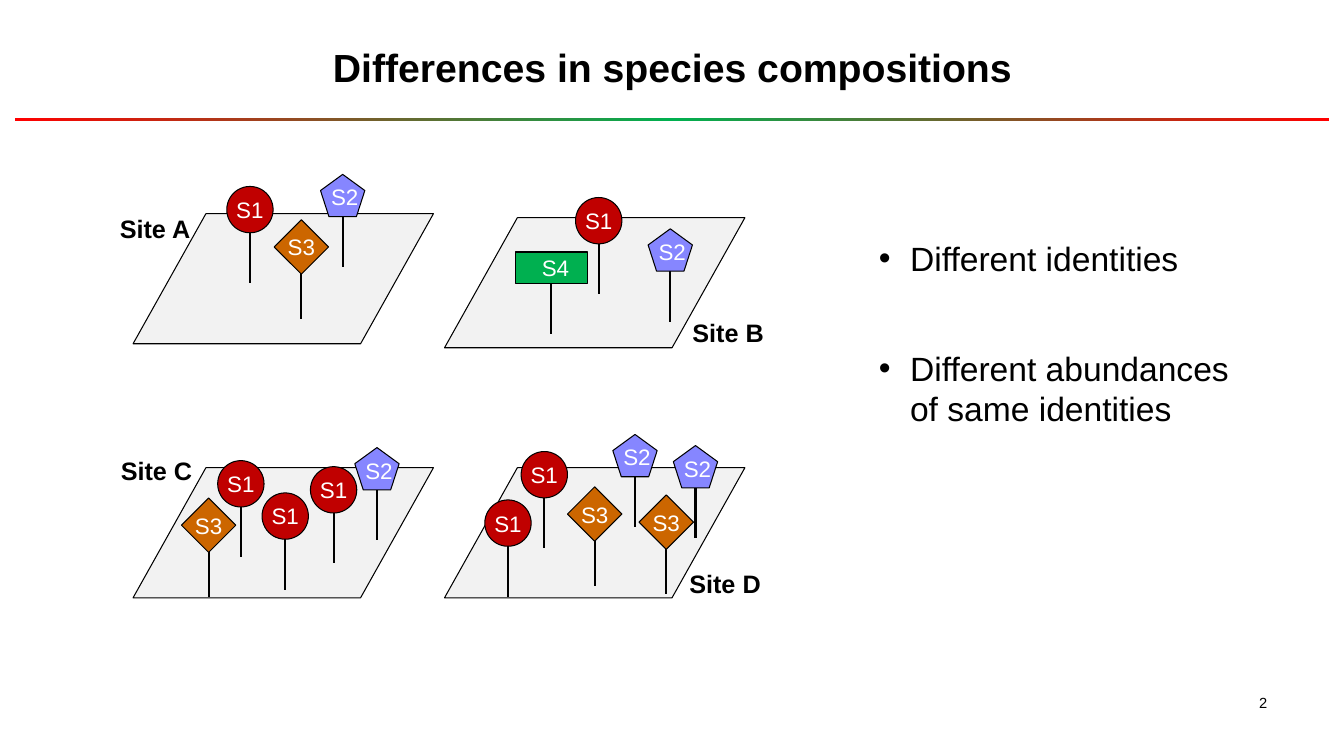
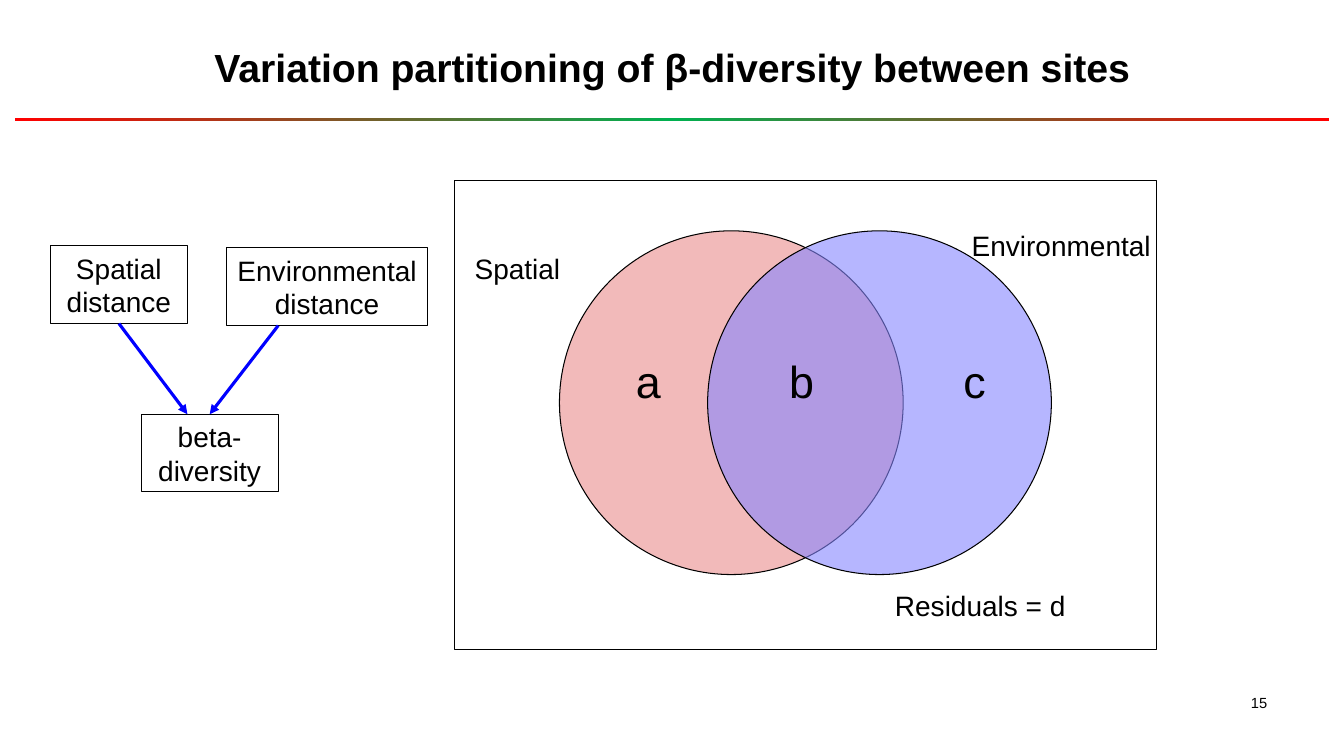
"""Build two slides on species composition and variation partitioning."""
from copy import deepcopy

from pptx import Presentation
from pptx import util as u
from pptx.dml.color import RGBColor
from pptx.enum import shapes, text
from pptx.oxml import ns
from lxml import etree

COLORS = {
    "black": "000000", "white": "FFFFFF", "plot": "F2F2F2",
    "red": "C00000", "violet": "8686FF", "orange": "CC6600", "green": "00B050",
    "pink": "EA8C8C", "arrow": "0000FF", "band": "FF0000",
}
RGB = {name: RGBColor.from_string(value) for name, value in COLORS.items()}
KIND = shapes.MSO_SHAPE
ALIGN = text.PP_ALIGN
MIDDLE = text.MSO_ANCHOR.MIDDLE
CELL = u.Inches(0.1)
COLS, ROWS = 133.33, 75


def box(s, at, words="", kind=None, fill=None, size=20, color="black",
        bold=False, align=ALIGN.LEFT, **frame):
    """Place a text box, or a preset shape if a kind is given, on the grid."""
    place = [int(n * CELL) for n in at]
    if kind is None:
        sp = s.shapes.add_textbox(*place)
    else:
        sp = s.shapes.add_shape(kind, *place)
        sp.shadow.inherit = False
        sp.line.color.rgb = RGB["black"]
        sp.line.width = u.Pt(0.75)
        if fill:
            sp.fill.solid()
            sp.fill.fore_color.rgb = RGB[fill]
        else:
            sp.fill.background()
    tf = sp.text_frame
    for key, value in {"word_wrap": True, **frame}.items():
        setattr(tf, key, value)
    if words:
        tf.text = words
    font = {"name": "Arial", "size": u.Pt(size), "bold": bold}
    for p in tf.paragraphs:
        p.alignment = align
        for r in p.runs:
            r.font.color.rgb = RGB[color]
            for key, value in font.items():
                setattr(r.font, key, value)
    return sp


def line(s, start, end, width=1.5, color="black"):
    """Draw a straight connector between two grid points."""
    ends = [int(n * CELL) for n in (*start, *end)]
    cn = s.shapes.add_connector(shapes.MSO_CONNECTOR.STRAIGHT, *ends)
    cn.line.color.rgb = RGB[color]
    cn.line.width = u.Pt(width)
    etree.SubElement(cn._element.spPr, ns.qn("a:effectLst"))
    return cn


prs = Presentation()
prs.slide_width, prs.slide_height = int(COLS * CELL), ROWS * CELL

TITLES = [
    ("Differences in species compositions", "2"),
    ("Variation partitioning of β-diversity between sites", "15"),
]
for title, number in TITLES:
    s = prs.slides.add_slide(prs.slide_layouts[6])
    band = box(s, (1.5, 11.7, COLS - 3, 0.3), kind=KIND.RECTANGLE)
    band.line.fill.background()
    band.fill.gradient()
    band.fill.gradient_angle = 0
    stops = band._element.spPr.find(".//" + ns.qn("a:gsLst"))
    stops.insert(1, deepcopy(stops[0]))
    for i, (stop, name) in enumerate(zip(band.fill.gradient_stops, ("band", "green", "band"))):
        stop.position = i / 2
        stop.color.rgb = RGB[name]
    box(s, (6.7, 1.3, 120, 10.7), title, size=28, bold=True,
        align=ALIGN.CENTER, vertical_anchor=MIDDLE)
    box(s, (95.6, 68.3, 31.1, 5.2), number, size=10.5, align=ALIGN.RIGHT)

compositions, partitioning = prs.slides

SPECIES = {
    "S1": (KIND.OVAL, "red", 4.6, 4.6, 0, 0, 0),
    "S2": (KIND.REGULAR_PENTAGON, "violet", 4.4, 4.2, 0.4, 0.7, 0),
    "S3": (KIND.DIAMOND, "orange", 5.4, 5.4, 0, 0, 0.6),
    "S4": (KIND.RECTANGLE, "green", 7.1, 3.1, 0.8, 0, 0),
}
SITES = [
    ("Site A", 13.2, 21.2, (-2.3, -0.5),
     [("S1", 11.6, -2.7), ("S2", 20.8, -3.9), ("S3", 16.7, 0.6)]),
    ("Site B", 44.1, 21.6, (23.6, 9.4),
     [("S4", 10.6, 3.4), ("S1", 15.3, -2), ("S2", 22.4, 1.1)]),
    ("Site C", 13.2, 46.4, (-2.2, -1.7),
     [("S1", 10.7, -0.7), ("S3", 7.5, 3), ("S2", 24.2, -2),
      ("S1", 15.1, 2.5), ("S1", 19.9, -0.1)]),
    ("Site D", 44.1, 46.4, (23.3, 9.5),
     [("S1", 9.9, -1.6), ("S2", 18.9, -3.3), ("S3", 14.9, 1.9),
      ("S1", 6.3, 3.2), ("S2", 24.9, -2.2), ("S3", 22, 2.7)]),
]
s = compositions
for site, left, top, (dx, dy), plants in SITES:
    plot = box(s, (left, top, 29.8, 12.9), kind=KIND.PARALLELOGRAM, fill="plot")
    plot.adjustments[0] = 0.56
    for name, x, y in plants:
        kind, fill, w, h, pad_left, pad_bottom, overlap = SPECIES[name]
        x, y = left + x, top + y
        foot = y + h - overlap
        line(s, (x, foot), (x, foot + 5))
        box(s, (x - w / 2, y, w, h), name, kind, fill, size=16, color="white",
            align=ALIGN.CENTER, vertical_anchor=MIDDLE, word_wrap=False,
            margin_left=int(pad_left * CELL), margin_right=0,
            margin_top=0, margin_bottom=int(pad_bottom * CELL))
    box(s, (left + dx, top + dy, 9.2, 4), site, size=18, bold=True, word_wrap=False)

POINTS = [
    ("Different identities", 21.1, 6.3, 1.5),
    ("Different abundances of same identities", 34, 12.1, 1.0),
]
for words, top, height, spacing in POINTS:
    p = box(s, (86.2, top, 40, height), words, size=24).text_frame.paragraphs[0]
    pPr = p._p.get_or_add_pPr()
    indent = int(3.1 * CELL)
    pPr.set("marL", str(indent))
    pPr.set("indent", str(-indent))
    etree.SubElement(pPr, ns.qn("a:buFont")).set("typeface", "Arial")
    etree.SubElement(pPr, ns.qn("a:buChar")).set("char", "•")
    p.line_spacing = spacing

s = partitioning
box(s, (45.1, 17.9, 69.6, 46.5), kind=KIND.RECTANGLE)
for left, fill in ((55.5, "pink"), (70.2, "violet")):
    circle = box(s, (left, 22.9, 34.1, 34.1), kind=KIND.OVAL, fill=fill)
    tint = circle._element.spPr.find(ns.qn("a:solidFill"))[0]
    etree.SubElement(tint, ns.qn("a:alpha")).set("val", "60000")

LABELS = [
    ("Spatial", 46.1, 24.5, 13.6, 20),
    ("Environmental", 95.4, 22.2, 25.5, 20),
    ("a", 62.1, 34.6, 5.8, 32),
    ("b", 77.3, 34.6, 5.8, 32),
    ("c", 94.6, 34.6, 5.8, 32),
    ("Residuals = d", 87.8, 57.9, 24.4, 20),
]
for words, left, top, width, size in LABELS:
    box(s, (left, top, width, size / 4), words, size=size)

BOXES = [
    ("Spatial\ndistance", 5, 24.4, 13.6),
    ("Environmental distance", 22.5, 24.6, 19.9),
    ("beta-diversity", 14, 41.1, 13.6),
]
for words, left, top, width in BOXES:
    box(s, (left, top, width, 7.7), words, KIND.RECTANGLE, align=ALIGN.CENTER,
        vertical_anchor=MIDDLE, margin_left=CELL // 2, margin_right=CELL // 2)

for start, end in (((11.8, 32.1), (18.6, 41.1)), ((27.6, 32.3), (20.8, 41.1))):
    arrow = line(s, start, end, 2.25, "arrow")
    etree.SubElement(arrow.line._get_or_add_ln(), ns.qn("a:tailEnd")).set("type", "triangle")

prs.save("out.pptx")
